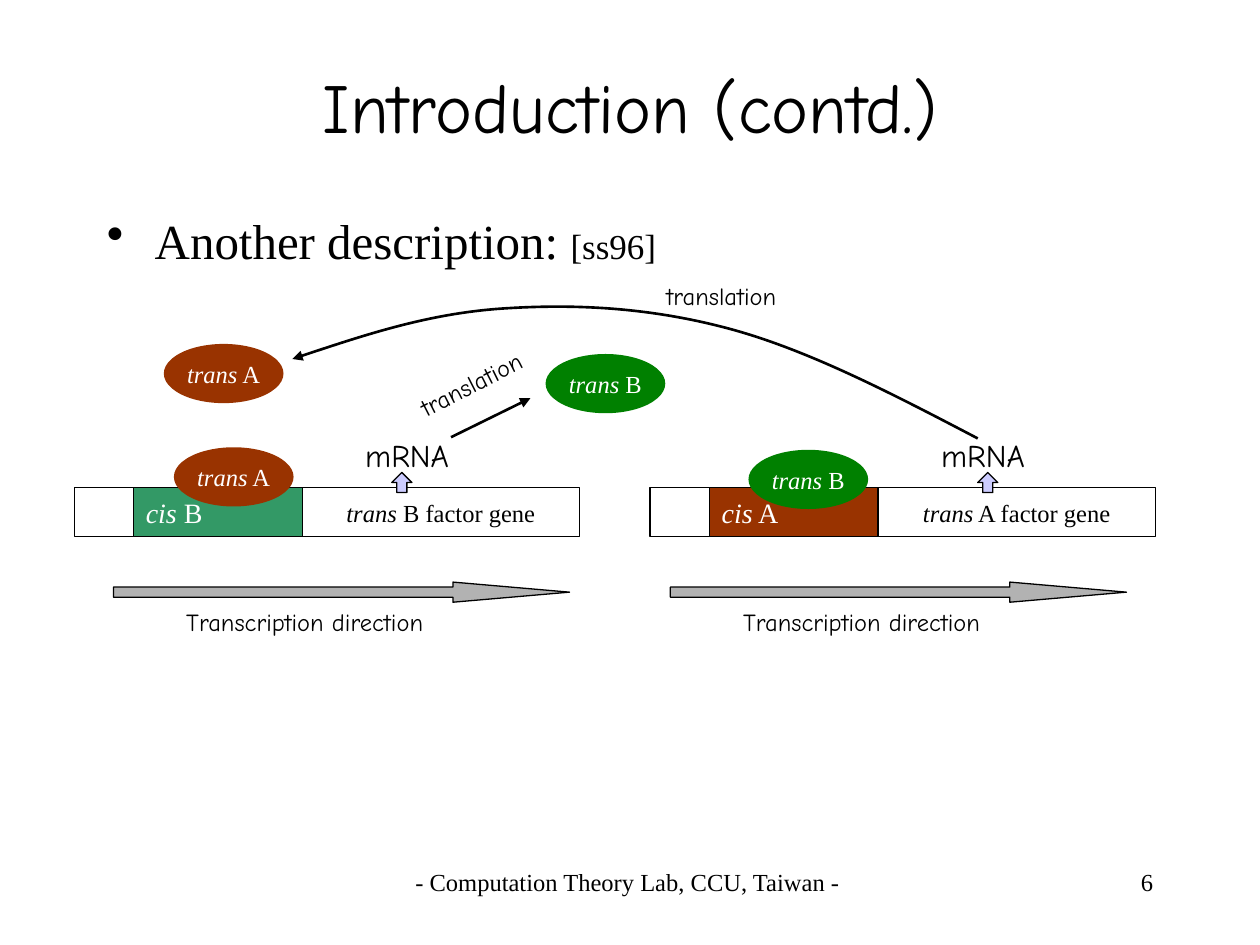
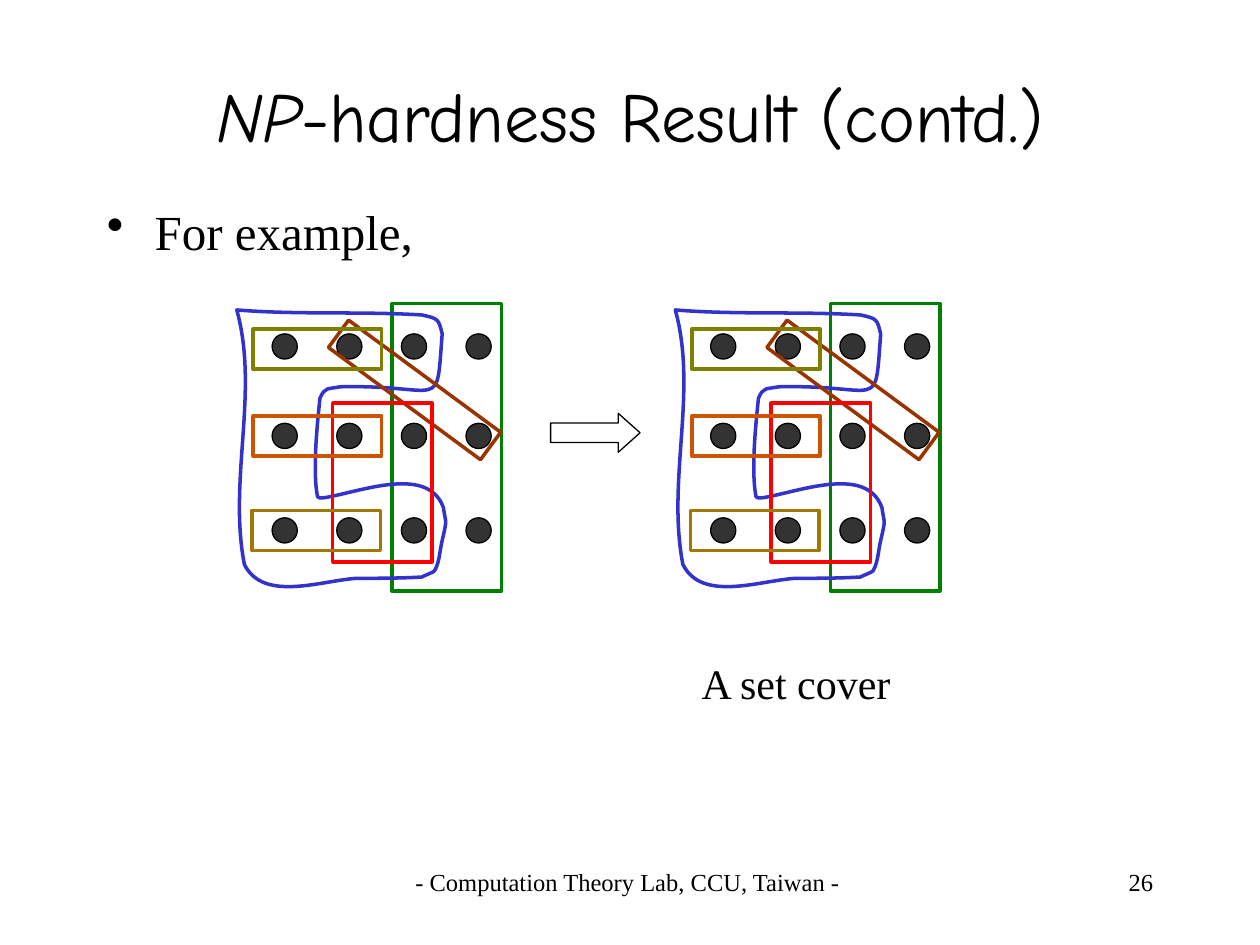
from lxml.etree import SubElement
from pptx import Presentation
from pptx.dml.color import RGBColor
from pptx.enum.shapes import MSO_CONNECTOR, MSO_SHAPE
from pptx.enum.text import MSO_ANCHOR, PP_ALIGN
from pptx.oxml.ns import qn
from pptx.util import Inches, Pt

# Shared look
BLACK = RGBColor(0x00, 0x00, 0x00)
WHITE = RGBColor(0xFF, 0xFF, 0xFF)
GREEN = RGBColor(0x00, 0x80, 0x00)
SEA_GREEN = RGBColor(0x33, 0x99, 0x66)
BROWN = RGBColor(0x99, 0x33, 0x00)
LAVENDER = RGBColor(0xCC, 0xCC, 0xFF)
GREY = RGBColor(0xB2, 0xB2, 0xB2)
CHARCOAL = RGBColor(0x33, 0x33, 0x33)
BLUE = RGBColor(0x33, 0x33, 0xCC)
RED = RGBColor(0xFF, 0x00, 0x00)
ORANGE = RGBColor(0xCE, 0x53, 0x00)
OCHRE = RGBColor(0xA2, 0x78, 0x00)
OLIVE = RGBColor(0x80, 0x80, 0x00)
HAND = "Comic Neue"
SERIF = "Times New Roman"
FOOTER = "- Computation Theory Lab, CCU, Taiwan - "


# Basic parts
def write(shape, spans, color=BLACK, align=PP_ALIGN.LEFT,
          anchor=MSO_ANCHOR.TOP, wrap=True):
    """Fill a shape with one paragraph of (text, format) spans."""
    frame = shape.text_frame
    frame.word_wrap = wrap
    frame.vertical_anchor = anchor
    para = frame.paragraphs[0]
    para.alignment = align
    for text, formats in spans:
        span = para.add_run()
        span.text = text
        span.font.color.rgb = color
        for name, value in formats.items():
            setattr(span.font, name, value)
    return para


def style(size, name=SERIF, italic=False):
    return {"size": Pt(size), "name": name, "italic": italic}


def add_text(page, box, spans, **layout):
    shape = page.shapes.add_textbox(*map(Inches, box))
    write(shape, spans, **layout)
    return shape


def paint(shape, fill=None, line=None, width=0.75):
    shape.shadow.inherit = False
    if fill is None:
        shape.fill.background()
    else:
        shape.fill.solid()
        shape.fill.fore_color.rgb = fill
    if line is None:
        shape.line.fill.background()
    else:
        shape.line.color.rgb = line
        shape.line.width = Pt(width)


def add_shape(page, kind, box, fill=None, line=None, width=0.75):
    shape = page.shapes.add_shape(kind, *map(Inches, box))
    paint(shape, fill, line, width)
    return shape


def add_curve(page, points, closed, line, width):
    """Draw a start point followed by Bezier triples."""
    points = [(Inches(x), Inches(y)) for x, y in points]
    builder = page.shapes.build_freeform(*points[0])
    builder.add_line_segments(points[1:], close=closed)
    shape = builder.convert_to_shape()
    segments = list(shape.element.iter(qn("a:lnTo")))
    for first in range(0, len(segments), 3):
        triple = segments[first:first + 3]
        curve = triple[0].makeelement(qn("a:cubicBezTo"))
        triple[0].addprevious(curve)
        for segment in triple:
            curve.append(segment[0])
            segment.getparent().remove(segment)
    paint(shape, None, line, width)
    return shape


def add_arrowhead(shape):
    SubElement(shape.line._get_or_add_ln(), qn("a:tailEnd"), type="triangle")


# Title, bullet and footer of every page
def add_page(deck, number, title, title_top, bullet, bullet_top):
    page = deck.slides.add_slide(deck.slide_layouts[6])
    add_text(page, (0.75, title_top, 8.5, 1.25), title,
             align=PP_ALIGN.CENTER, anchor=MSO_ANCHOR.MIDDLE)
    body = page.shapes.add_textbox(*map(Inches, (0.75, bullet_top, 8.5, 0.6)))
    para = write(body, bullet)
    properties = para._p.get_or_add_pPr()
    properties.set("marL", str(Inches(0.38)))
    properties.set("indent", str(-Inches(0.38)))
    SubElement(properties, qn("a:buChar"), char="•")
    add_text(page, (2.09, 6.83, 5.83, 0.5), [(FOOTER, style(14))],
             align=PP_ALIGN.CENTER)
    add_text(page, (7.17, 6.83, 2.08, 0.5), [(str(number), style(14))],
             align=PP_ALIGN.RIGHT)
    return page


# Gene diagram
def add_factor(page, left, top, letter, fill):
    oval = add_shape(page, MSO_SHAPE.OVAL, (left, top, 0.95, 0.47), fill)
    write(oval, [("trans", style(14, italic=True)), (f" {letter}", style(14))],
          WHITE, PP_ALIGN.CENTER, MSO_ANCHOR.MIDDLE, wrap=False)


def add_gene(page, left, top, letter, cis_fill, arrow_left):
    gene = add_shape(page, MSO_SHAPE.RECTANGLE,
                     (left + 1.81, top, 2.2, 0.39), None, BLACK)
    write(gene, [("trans", style(14, italic=True)),
                 (f" {letter} factor gene", style(14))],
          align=PP_ALIGN.CENTER, anchor=MSO_ANCHOR.MIDDLE, wrap=False)
    site = add_shape(page, MSO_SHAPE.RECTANGLE,
                     (left + 0.47, top, 1.34, 0.39), cis_fill, BLACK)
    write(site, [("cis", style(16, italic=True)), (f" {letter}", style(16))],
          WHITE, anchor=MSO_ANCHOR.MIDDLE, wrap=False)
    add_shape(page, MSO_SHAPE.RECTANGLE, (left, top, 0.47, 0.39), WHITE, BLACK)
    add_text(page, (left + 2.21, top - 0.46, 1.02, 0.4),
             [("mRNA", style(18, HAND))])
    add_shape(page, MSO_SHAPE.UP_ARROW,
              (arrow_left, top - 0.12, 0.16, 0.16), LAVENDER, BLACK)


def add_direction(page, left, top):
    arrow = add_shape(page, MSO_SHAPE.RIGHT_ARROW,
                      (left, top, 3.62, 0.16), GREY, BLACK)
    arrow.adjustments[1] = 5.79
    add_text(page, (left + 0.48, top + 0.15, 3.07, 0.34),
             [("Transcription direction", style(14, HAND))])


def add_translations(page):
    label = [("translation", style(14, HAND))]
    # Long way back from the right gene
    add_text(page, (5.19, 2.18, 1.25, 0.34), label)
    add_arrowhead(add_curve(page, [
        (7.76, 3.48), (7.09, 3.13), (6.42, 2.78), (5.79, 2.61),
        (5.16, 2.44), (4.56, 2.41), (3.98, 2.45),
        (3.4, 2.49), (2.86, 2.67), (2.32, 2.85)], False, BLACK, 1.5))
    # Short way from the left gene
    add_text(page, (3.19, 2.82, 1.34, 0.34), label).rotation = 333
    arrow = page.shapes.add_connector(
        MSO_CONNECTOR.STRAIGHT, *map(Inches, (3.58, 3.47, 4.21, 3.16)))
    arrow.line.color.rgb = BLACK
    arrow.line.width = Pt(1.5)
    add_arrowhead(arrow)
    SubElement(arrow.element.spPr, qn("a:effectLst"))


def build_introduction(deck):
    page = add_page(deck, 6, [("Introduction (contd.)", style(40, HAND))], 0.21,
                    [("Another description: ", style(28)),
                     ("[ss96]", style(20))], 1.62)
    add_gene(page, 0.59, 3.87, "B", SEA_GREEN, 3.11)
    add_gene(page, 5.16, 3.87, "A", BROWN, 7.76)
    for left, top, letter, fill in (
            (1.3, 2.73, "A", BROWN), (1.38, 3.55, "A", BROWN),
            (4.33, 2.81, "B", GREEN), (5.94, 3.57, "B", GREEN)):
        add_factor(page, left, top, letter, fill)
    add_translations(page)
    for left in (0.9, 5.32):
        add_direction(page, left, 4.62)


# Set cover diagram, relative to the corner of its panel
BLOB = [
    (0.08, 0.06), (0.57, 0.1), (1.06, 0.07), (1.55, 0.1),
    (1.68, 0.13), (1.68, 0.13), (1.71, 0.25),
    (1.66, 0.89), (1.73, 0.65), (0.9, 0.67),
    (0.8, 0.69), (0.78, 0.67), (0.74, 0.76),
    (0.72, 0.95), (0.68, 1.33), (0.72, 1.54),
    (0.73, 1.56), (0.76, 1.55), (0.78, 1.55),
    (1.07, 1.5), (1.6, 1.29), (1.72, 1.63),
    (1.74, 1.77), (1.75, 1.71), (1.71, 1.89),
    (1.69, 1.97), (1.69, 2.06), (1.65, 2.13),
    (1.65, 2.14), (1.56, 2.17), (1.55, 2.18),
    (1.37, 2.19), (1.2, 2.19), (1.03, 2.19),
    (0.74, 2.21), (0.29, 2.38), (0.14, 2.08),
    (0.01, 1.41), (0.26, 0.71), (0.08, 0.06)]
SUBSETS = [  # left, top, width, height, rotation, colour
    (0.74, 0.56, 1.5, 0.27, 36.4, BROWN),
    (0.84, 0.8, 0.79, 1.26, 0, RED),
    (0.21, 0.9, 1.02, 0.32, 0, ORANGE),
    (0.2, 1.65, 1.02, 0.32, 0, OCHRE),
    (0.21, 0.21, 1.02, 0.32, 0, OLIVE)]


def add_subset(page, box, rotation, color):
    outline = add_shape(page, MSO_SHAPE.RECTANGLE, box, None, color, 2)
    outline.rotation = rotation


def add_set_panel(page, left, top):
    for row_top in (0.25, 0.96, 1.71):
        for column in range(4):
            add_shape(page, MSO_SHAPE.OVAL,
                      (left + 0.36 + 0.513 * column, top + row_top, 0.2, 0.2),
                      CHARCOAL, BLACK)
    add_subset(page, (left + 1.31, top + 0.01, 0.87, 2.28), 0, GREEN)
    add_curve(page, [(left + x, top + y) for x, y in BLOB], True, BLUE, 2)
    for x, y, width, height, rotation, color in SUBSETS:
        add_subset(page, (left + x, top + y, width, height), rotation, color)


def build_hardness(deck):
    page = add_page(deck, 26, [("NP", style(40, HAND, True)),
                               ("-hardness Result (contd.)", style(40, HAND))],
                    0.28, [("For example,", style(28))], 1.55)
    for left in (1.8, 5.28):
        add_set_panel(page, left, 2.4)
    arrow = add_shape(page, MSO_SHAPE.RIGHT_ARROW,
                      (4.37, 3.28, 0.71, 0.31), None, BLACK)
    arrow.adjustments[1] = 0.56
    add_text(page, (5.47, 5.17, 2.05, 0.5), [("A set cover", style(24))])


def main():
    deck = Presentation()
    deck.slide_width = Inches(10)
    deck.slide_height = Inches(7.5)
    build_introduction(deck)
    build_hardness(deck)
    deck.save("out.pptx")


if __name__ == "__main__":
    main()
